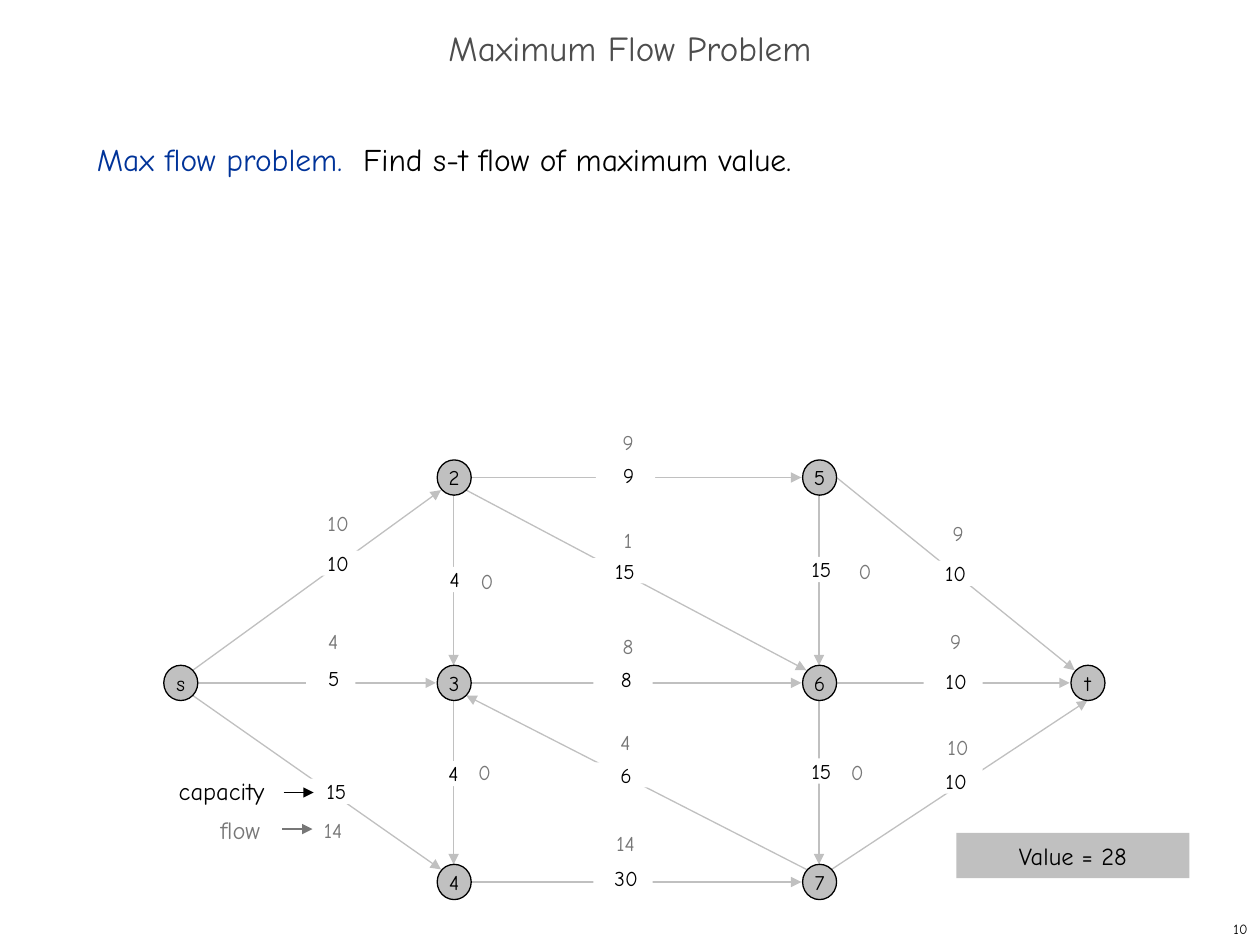
from lxml import etree
from pptx import Presentation
from pptx import util as u
from pptx.dml.color import RGBColor
from pptx.enum import shapes, text
from pptx.oxml.ns import qn

PX = 9144  # 100 px to the inch
FONT = "Comic Neue"
COLORS = {"black": "000000", "white": "FFFFFF", "blue": "003399",
          "title": "4D4D4D", "flow": "777777", "gray": "C0C0C0"}
LEFT, CENTER, RIGHT = text.PP_ALIGN.LEFT, text.PP_ALIGN.CENTER, text.PP_ALIGN.RIGHT

NODE_W, NODE_H = 27, 28
LABEL_W, LABEL_H = 47, 20
FLOW_W, FLOW_H = 37, 19

# Centres of the nodes, inside the network box
COLUMNS, ROWS = (43, 260, 550, 763), (79, 242, 400)
NODES = {name: (COLUMNS[column], ROWS[row]) for name, column, row in (
    ("s", 0, 1), ("2", 1, 0), ("3", 1, 1), ("4", 1, 2),
    ("5", 2, 0), ("6", 2, 1), ("7", 2, 2), ("t", 3, 1))}

# Offsets from a node's centre to points on its rim
RIM = {"N": (0, -14), "S": (0, 14), "W": (-14, 0), "E": (14, 0),
       "NW": (-10, -10), "NE": (10, -10), "SW": (-10, 10), "SE": (10, 10)}

# start, rim, end, rim, capacity, its centre, flow, its centre
EDGES = (
    ("s", "NE", "2", "SW", "10", (161, 147), "10", (168, 114)),
    ("s", "E", "3", "W", "5", (162, 238), "4", (164, 208)),
    ("s", "SE", "4", "NW", "15", (164, 328), "14", (164, 358)),
    ("2", "S", "3", "N", "4", (258, 160), "0", (286, 160)),
    ("2", "E", "5", "W", "9", (396, 77), "9", (398, 50)),
    ("2", "SE", "6", "NW", "15", (393, 153), "1", (398, 128)),
    ("3", "S", "4", "N", "4", (257, 314), "0", (284, 312)),
    ("3", "E", "6", "W", "8", (394, 239), "8", (398, 212)),
    ("7", "NW", "3", "SE", "6", (394, 315), "4", (396, 288)),
    ("4", "E", "7", "W", "30", (394, 397), "14", (396, 368)),
    ("5", "S", "6", "N", "15", (549, 152), "0", (586, 152)),
    ("6", "S", "7", "N", "15", (549, 312), "0", (580, 312)),
    ("5", "E", "t", "NW", "10", (651, 155), "9", (660, 122)),
    ("6", "E", "t", "W", "10", (656, 241), "9", (658, 208)),
    ("7", "NE", "t", "S", "10", (656, 320), "10", (660, 292)),
)
# Labels that differ in left inset or width
WIDE_INSETS = {("s", "2"): 14, ("5", "t"): 14}
LABEL_WIDTHS = {("s", "3"): 39}


def color(name):
    return RGBColor.from_string(COLORS[name])


def scaled(*lengths):
    return [u.Emu(length * PX) for length in lengths]


def centered(center, width, height):
    """Return the box of a given size around a centre."""
    return (center[0] - width // 2, center[1] - height // 2, width, height)


def write(shape, spans, size, align=CENTER, insets=(10, 5, 10, 5),
          anchor=text.MSO_ANCHOR.TOP, wrap=True):
    """Fill a shape with one paragraph of (words, colour) spans."""
    frame = shape.text_frame
    frame.auto_size = text.MSO_AUTO_SIZE.NONE
    frame.word_wrap = wrap
    frame.vertical_anchor = anchor
    (frame.margin_left, frame.margin_top,
     frame.margin_right, frame.margin_bottom) = scaled(*insets)
    para = frame.paragraphs[0]
    para.alignment = align
    for words, shade in spans:
        span = para.add_run()
        span.text = words
        span.font.name = FONT
        span.font.size = u.Pt(size)
        span.font.color.rgb = color(shade)
    return para


def add_text(page, box, spans, size, **options):
    return write(page.shapes.add_textbox(*scaled(*box)), spans, size, **options)


def add_filled(page, kind, box, fill, line=None):
    shape = page.shapes.add_shape(kind, *scaled(*box))
    shape.shadow.inherit = False
    shape.fill.solid()
    shape.fill.fore_color.rgb = color(fill)
    if line:
        shape.line.color.rgb = color(line)
        shape.line.width = u.Pt(0.75)
    else:
        shape.line.fill.background()
    return shape


def add_arrow(page, start, end, shade):
    arrow = page.shapes.add_connector(shapes.MSO_CONNECTOR.STRAIGHT, *scaled(*start, *end))
    arrow.line.color.rgb = color(shade)
    arrow.line.width = u.Pt(0.75)
    etree.SubElement(arrow.line._get_or_add_ln(), qn("a:tailEnd"), type="triangle")
    etree.SubElement(arrow._element.spPr, qn("a:effectLst"))


def add_heading(page, box):
    title = page.shapes.title
    title.left, title.top, title.width, title.height = scaled(*box)
    para = write(title, [("Maximum Flow Problem", "title")], 20,
                 anchor=text.MSO_ANCHOR.MIDDLE)
    para.line_spacing = 0.7


def add_statement(page, box):
    para = add_text(page, box, [("Max flow problem.  ", "blue"),
                                ("Find s-t flow of maximum value.", "black")],
                    18, align=LEFT)
    para.line_spacing = u.Pt(26)


def add_network(page, box):
    left, top = box[:2]

    def place(point, offset=(0, 0)):
        return (left + point[0] + offset[0], top + point[1] + offset[1])

    for start, start_rim, end, end_rim, *_ in EDGES:
        add_arrow(page, place(NODES[start], RIM[start_rim]),
                  place(NODES[end], RIM[end_rim]), "gray")
    for name, center in NODES.items():
        node = add_filled(page, shapes.MSO_SHAPE.OVAL,
                          centered(place(center), NODE_W, NODE_H), "gray", "black")
        write(node, [(name, "black")], 12, anchor=text.MSO_ANCHOR.MIDDLE, wrap=False)
    for start, _, end, _, capacity, capacity_at, flow, flow_at in EDGES:
        width = LABEL_WIDTHS.get((start, end), LABEL_W)
        label = add_filled(page, shapes.MSO_SHAPE.RECTANGLE,
                           centered(place(capacity_at), width, LABEL_H), "white")
        inset = WIDE_INSETS.get((start, end), 5)
        write(label, [(capacity, "black")], 12, insets=(inset, 0, 0, 0))
        add_text(page, centered(place(flow_at), FLOW_W, FLOW_H),
                 [(flow, "flow")], 12, insets=(0, 0, 0, 0))


def add_legend(page, box):
    left, top = box[:2]
    for words, shade, x, y, width, arrow_x, arrow_y in (
            ("capacity", "black", 0, 0, 88, 93, 18),
            ("flow", "flow", 33, 31, 52, 92, 47)):
        add_text(page, (left + x, top + y, width, 33), [(words, shade)], 14,
                 align=LEFT, wrap=False)
        start = (left + arrow_x, top + arrow_y)
        add_arrow(page, start, (start[0] + 24, start[1]), shade)


def add_flow_value(page, box):
    panel = add_filled(page, shapes.MSO_SHAPE.RECTANGLE, box, "gray")
    write(panel, [("Value = 28", "black")], 14, insets=(10, 10, 10, 10),
          anchor=text.MSO_ANCHOR.MIDDLE)


def add_page_number(page, box):
    add_text(page, box, [("10", "black")], 8, align=RIGHT, anchor=text.MSO_ANCHOR.MIDDLE)


def main():
    deck = Presentation()
    deck.slide_width, deck.slide_height = scaled(1000, 750)
    page = deck.slides.add_slide(deck.slide_layouts[5])
    add_heading(page, (0, 17, 1000, 50))
    add_statement(page, (67, 100, 858, 50))
    add_network(page, (100, 300, 800, 420))
    add_legend(page, (132, 611, 117, 64))
    add_flow_value(page, (759, 661, 185, 36))
    add_page_number(page, (792, 725, 208, 25))
    deck.save("out.pptx")


if __name__ == "__main__":
    main()
